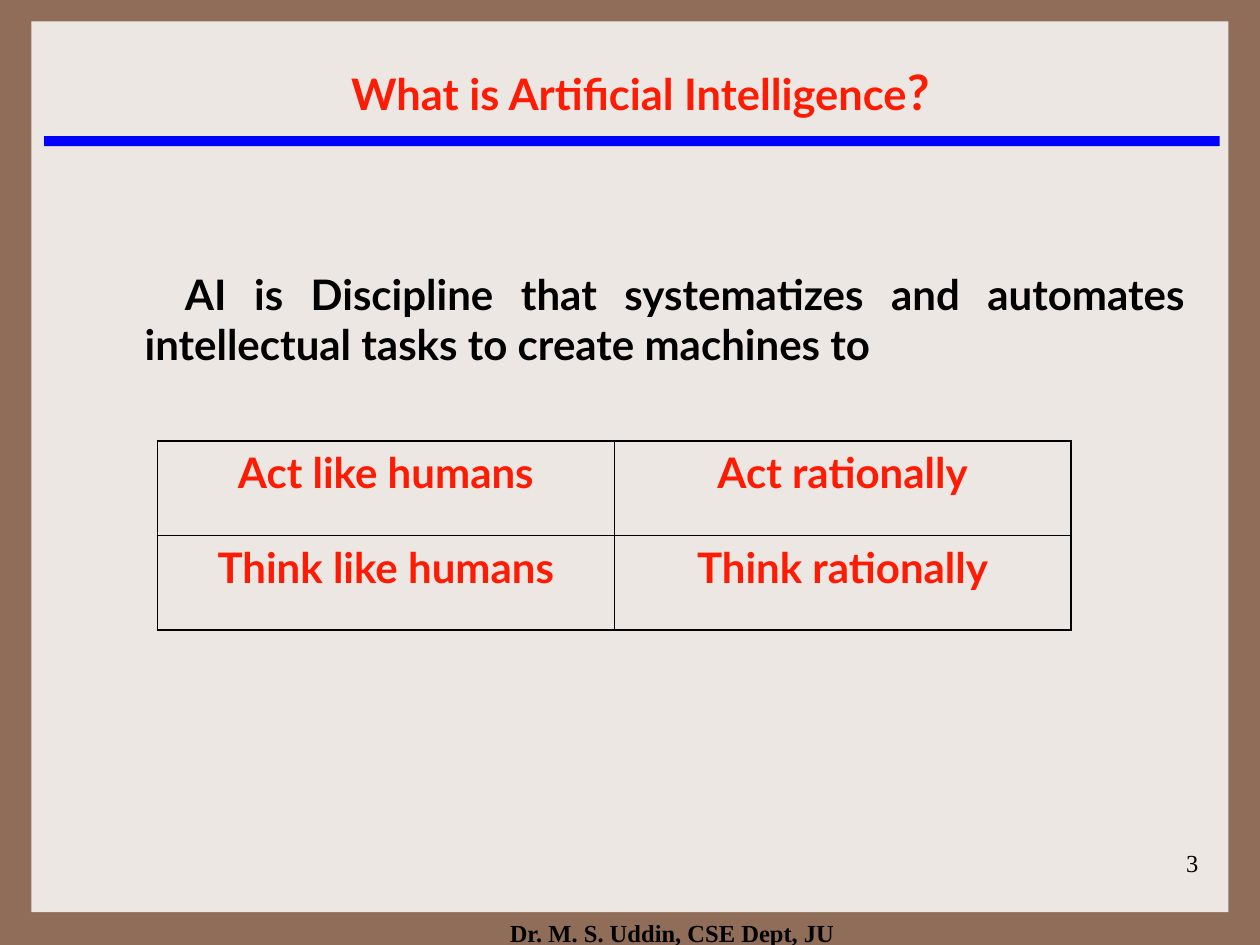
"""Build a slide that defines artificial intelligence with a two by two table."""
from lxml import etree
from pptx import Presentation, util as u
from pptx.dml.color import RGBColor
from pptx.enum import shapes, text
from pptx.oxml import ns

HUES = {"frame": "906D58", "page": "EDE7E3", "rule": "0000FF", "red": "FD1B03", "ink": "000000"}
SANS, SERIF, ROMAN = "Lato", "Times New Roman", "TeX Gyre Schola"
ALIGN = text.PP_ALIGN


def write(frame, align, runs):
    para = frame.paragraphs[0]
    para.alignment = align
    for words, size, face, hue, bold in runs:
        run = para.add_run()
        run.text = words
        run.font.size = u.Pt(size)
        run.font.name = face
        run.font.bold = bold
        run.font.color.rgb = RGBColor.from_string(HUES[hue])
    return para


def edge(cell, side, width):
    line = etree.SubElement(cell._tc.get_or_add_tcPr(), ns.qn("a:ln" + side), w=str(u.Pt(width)))
    fill = etree.SubElement(line, ns.qn("a:solidFill"))
    etree.SubElement(fill, ns.qn("a:srgbClr"), val=HUES["ink"])


deck = Presentation()
deck.slide_width, deck.slide_height = u.Inches(10), u.Inches(7.5)
slide = deck.slides.add_slide(deck.slide_layouts[6])
back = slide.background.fill
back.solid()
back.fore_color.rgb = RGBColor.from_string(HUES["frame"])

for hue, box in [("page", (0.25, 0.17, 9.5, 7.07)), ("rule", (0.35, 1.08, 9.33, 0.08))]:
    panel = slide.shapes.add_shape(shapes.MSO_SHAPE.RECTANGLE, *map(u.Inches, box))
    panel.shadow.inherit = False
    panel.fill.solid()
    panel.fill.fore_color.rgb = RGBColor.from_string(HUES[hue])
    panel.line.fill.background()

title = [
    (" ", 21.7, ROMAN, "red", False),
    ("What is Artificial Intelligence", 24.8, SANS, "red", True),
    ("?", 27.9, SANS, "red", True),
]
claim = "AI is Discipline that systematizes and automates intellectual tasks to create machines to"
notes = {
    "foot": ((3.75, 7.24, 3.17, 0.26), ALIGN.CENTER,
             [("Dr. M. S. Uddin, CSE Dept, JU", 14, SERIF, "ink", True)]),
    "page": ((7.53, 6.68, 2.08, 0.5), ALIGN.RIGHT, [("3", 14, SERIF, "ink", False)]),
    "title": ((0, 0.42, 10.08, 0.58), ALIGN.CENTER, title),
    "claim": ((0.67, 2.08, 8.83, 1.17), ALIGN.JUSTIFY, [(claim, 24, SANS, "ink", True)]),
}
for name, (box, align, runs) in notes.items():
    frame = slide.shapes.add_textbox(*map(u.Inches, box)).text_frame
    frame.word_wrap = True
    para = write(frame, align, runs)
    if name == "title":
        frame.vertical_anchor = text.MSO_ANCHOR.BOTTOM
        para.line_spacing = 0.8
    if name == "claim":
        para.space_before = u.Pt(7)
        props = para._p.get_or_add_pPr()
        props.set("marL", str(u.Inches(0.38)))
        props.set("indent", str(u.Inches(0.32)))

verbs, ways = ["Act", "Think"], ["like humans", "rationally"]
grid = slide.shapes.add_table(2, 2, *map(u.Inches, (1.25, 3.5, 7.25, 1.5))).table
grid.first_row = grid.horz_banding = False
for row, verb in enumerate(verbs):
    for col, way in enumerate(ways):
        cell = grid.cell(row, col)
        para = write(cell.text_frame, ALIGN.CENTER, [(f"{verb} {way}", 24, SANS, "red", True)])
        para.space_before = u.Pt(6)
        outer = {"L": col == 0, "R": col == 1, "T": row == 0, "B": row == 1}
        for side, rim in outer.items():
            edge(cell, side, 1.08 if rim else 0.45)
        cell.fill.background()

deck.save("out.pptx")
